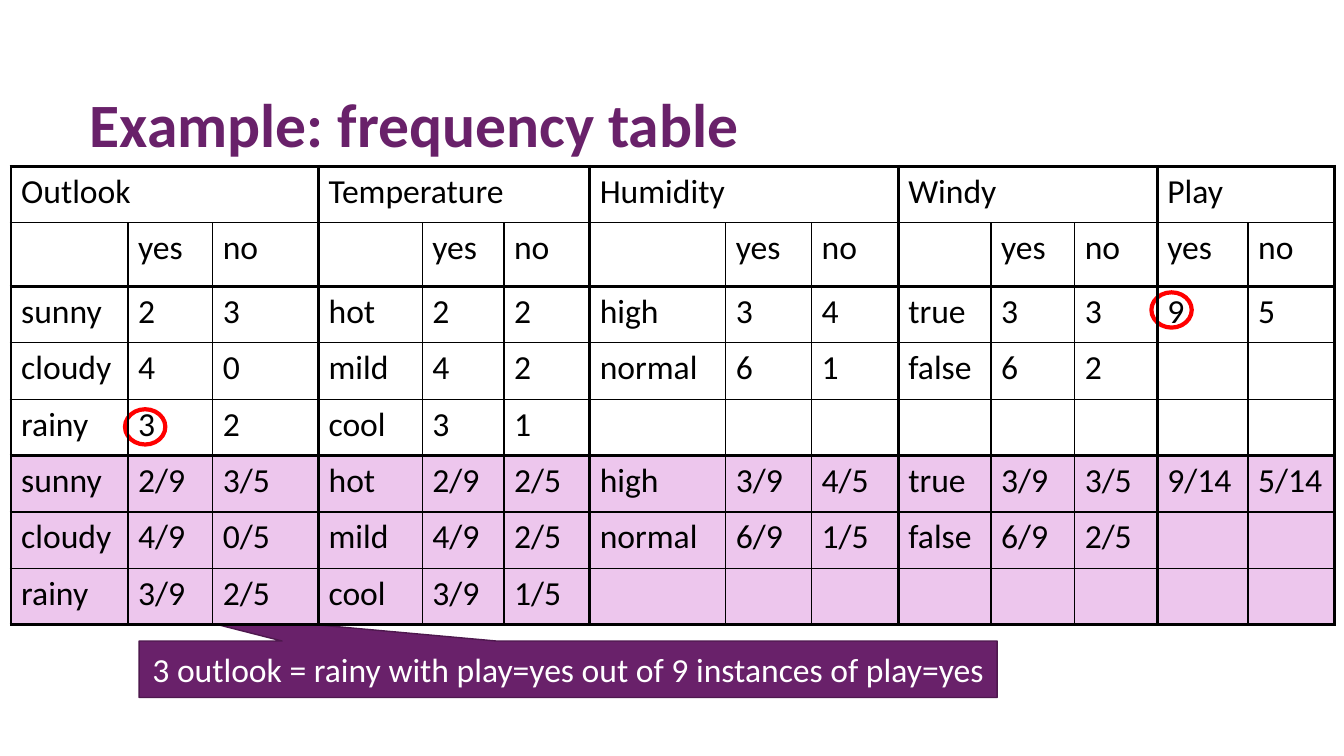
from dataclasses import dataclass

import pptx
import pptx.dml.color
import pptx.enum.shapes
import pptx.enum.text
import pptx.oxml.ns
import pptx.util
from lxml import etree

Inches, Pt = pptx.util.Inches, pptx.util.Pt
RGB = pptx.dml.color.RGBColor.from_string
qn = pptx.oxml.ns.qn
SHAPE = pptx.enum.shapes.MSO_SHAPE
ALIGN = pptx.enum.text.PP_ALIGN
ANCHOR = pptx.enum.text.MSO_ANCHOR

COLORS = {"purple": "69216A", "edge": "4E184E", "pink": "EDC6ED",
          "red": "FF0000", "black": "000000", "white": "FFFFFF"}
THICK, THIN = 2.25, 1
ROW_HEIGHTS = [0.56, 0.63] + [0.56] * 6
FIRST_COUNT, FIRST_RATIO = 2, 5


@dataclass
class Attribute:
    """One column group: counts of yes and no for each value."""
    name: str
    widths: list[float]
    values: list[str]
    yes: list[int]
    no: list[int]


@dataclass
class Ring:
    left: float
    top: float


ATTRIBUTES = [
    Attribute("Outlook", [1.16, 0.84, 1.05], ["sunny", "cloudy", "rainy"], [2, 4, 3], [3, 0, 2]),
    Attribute("Temperature", [1.03, 0.81, 0.85], ["hot", "mild", "cool"], [2, 4, 3], [2, 2, 1]),
    Attribute("Humidity", [1.35, 0.85, 0.86], ["high", "normal"], [3, 6], [4, 1]),
    Attribute("Windy", [0.92, 0.83, 0.82], ["true", "false"], [3, 6], [3, 2]),
    Attribute("Play", [0.9, 0.86], [], [9], [5]),
]
RINGS = [Ring(1.24, 4.06), Ring(11.42, 2.9)]


def write(p, text: str, color: str, size: float = 24, bold: bool = False) -> None:
    r = p.add_run()
    r.text = text
    for key, value in {"name": "Calibri", "size": Pt(size), "bold": bold}.items():
        setattr(r.font, key, value)
    r.font.color.rgb = RGB(COLORS[color])


def add_shape(slide, kind, box: tuple, line: str, width: float, fill: str | None = None):
    sp = slide.shapes.add_shape(kind, *map(Inches, box))
    sp.shadow.inherit = False
    paint(sp.fill, fill)
    sp.line.color.rgb = RGB(COLORS[line])
    sp.line.width = Pt(width)
    return sp


def paint(fill, color: str | None) -> None:
    if color:
        fill.solid()
        fill.fore_color.rgb = RGB(COLORS[color])
    else:
        fill.background()


def set_borders(cell, widths: dict[str, float]) -> None:
    tc_pr = cell._tc.get_or_add_tcPr()
    for side, width in widths.items():
        ln = etree.SubElement(tc_pr, qn(f"a:ln{side}"), w=str(Pt(width)))
        fill = etree.SubElement(ln, qn("a:solidFill"))
        etree.SubElement(fill, qn("a:srgbClr"), val=COLORS["black"])


def fill_cell(cell, text: str) -> None:
    p = cell.text_frame.paragraphs[0]
    before = etree.SubElement(p._p.get_or_add_pPr(), qn("a:spcBef"))
    etree.SubElement(before, qn("a:spcPct"), val="20000")
    if text:
        write(p, text, "black")


def column_texts(attribute: Attribute) -> list[list[str]]:
    """Texts of each column in the group, from the second row down."""
    def pad(items: list) -> list[str]:
        return [str(item) for item in items] + [""] * (3 - len(items))

    columns = []
    if attribute.values:
        columns.append([""] + pad(attribute.values) * 2)
    everything = sum(attribute.yes + attribute.no)
    for head, counts in (("yes", attribute.yes), ("no", attribute.no)):
        total = sum(counts) if attribute.values else everything
        ratios = [f"{count}/{total}" for count in counts]
        columns.append([head] + pad(counts) + pad(ratios))
    return columns


def add_frequency_table(slide) -> None:
    widths = [w for attribute in ATTRIBUTES for w in attribute.widths]
    frame = slide.shapes.add_table(
        len(ROW_HEIGHTS), len(widths), Inches(0.11), Inches(1.65),
        Inches(sum(widths)), Inches(sum(ROW_HEIGHTS)))
    table = frame.table
    table.first_row = table.horz_banding = False
    for column, width in zip(table.columns, widths):
        column.width = Inches(width)
    for row, height in zip(table.rows, ROW_HEIGHTS):
        row.height = Inches(height)

    block_tops = (0, FIRST_COUNT, FIRST_RATIO, len(ROW_HEIGHTS))
    start = 0
    for attribute in ATTRIBUTES:
        end = start + len(attribute.widths) - 1
        for col, texts in enumerate(column_texts(attribute), start):
            heading = attribute.name if col == start else ""
            for row, text in enumerate([heading] + texts):
                cell = table.cell(row, col)
                fill_cell(cell, text)
                set_borders(cell, {
                    "L": THICK if col == start or row == 0 else THIN,
                    "R": THICK if col == end or row == 0 else THIN,
                    "T": THICK if row in block_tops else THIN,
                    "B": THICK if row + 1 in block_tops else THIN})
                paint(cell.fill, "pink" if row >= FIRST_RATIO else None)
        table.cell(0, start).merge(table.cell(0, end))
        start = end + 1


def main() -> None:
    prs = pptx.Presentation()
    prs.slide_width, prs.slide_height = Inches(13.33), Inches(7.5)
    slide = prs.slides.add_slide(prs.slide_layouts[5])

    # Callout below the table
    callout = add_shape(slide, SHAPE.RECTANGULAR_CALLOUT, (1.38, 6.36, 8.51, 0.56),
                        "edge", 1, "purple")
    callout.adjustments[0], callout.adjustments[1] = -0.47, -1.03
    tf = callout.text_frame
    tf.word_wrap = False
    tf.vertical_anchor = ANCHOR.MIDDLE
    tf.paragraphs[0].alignment = ALIGN.CENTER
    write(tf.paragraphs[0], "3 outlook = rainy with play=yes out of 9 instances of play=yes", "white")

    # Rings around the counts in question
    for ring in RINGS:
        add_shape(slide, SHAPE.OVAL, (ring.left, ring.top, 0.4, 0.35), "red", 3)

    # Counts and ratios
    add_frequency_table(slide)

    # Title
    title = slide.shapes.title
    box = {"left": 0.79, "top": 0.89, "width": 11.36, "height": 1.6}
    for key, value in box.items():
        setattr(title, key, Inches(value))
    title.text_frame.vertical_anchor = ANCHOR.TOP
    p = title.text_frame.paragraphs[0]
    for key, value in {"alignment": ALIGN.LEFT, "line_spacing": 0.9}.items():
        setattr(p, key, value)
    write(p, "Example: frequency table", "purple", 44, True)

    prs.save("out.pptx")


if __name__ == "__main__":
    main()
